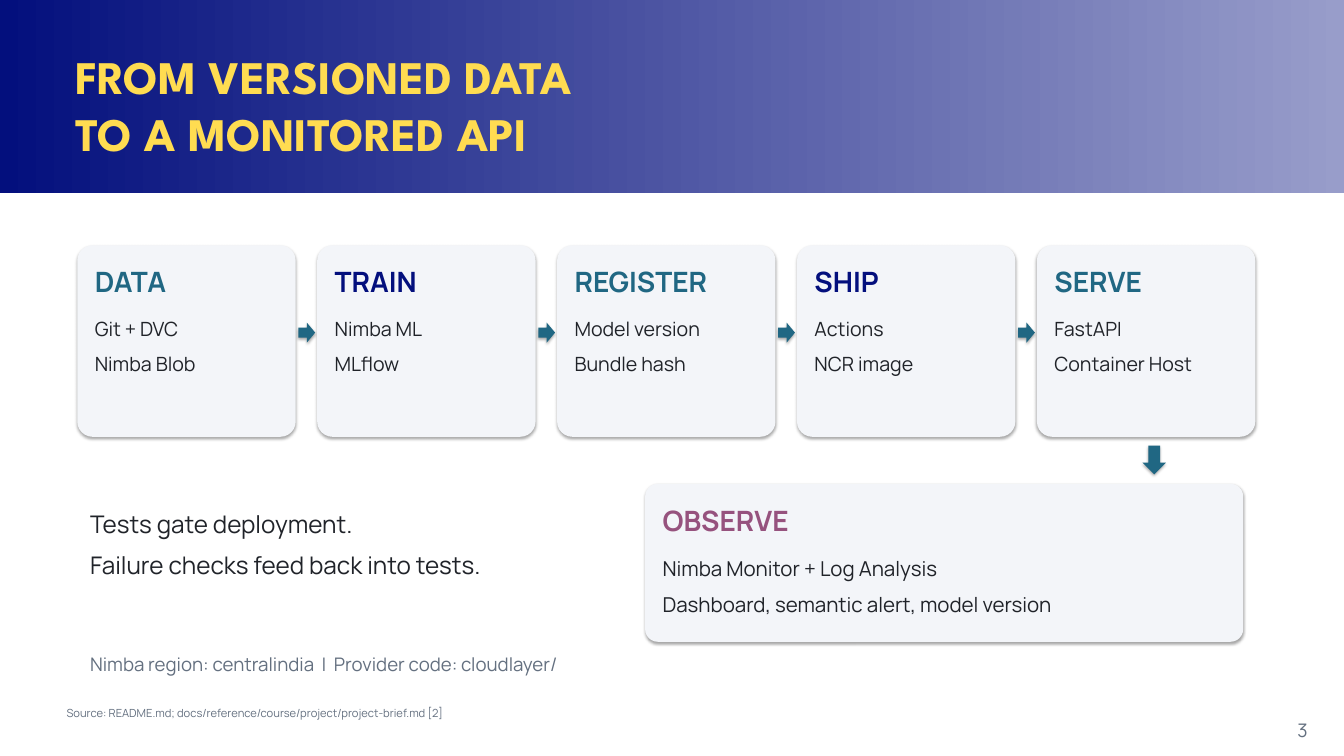
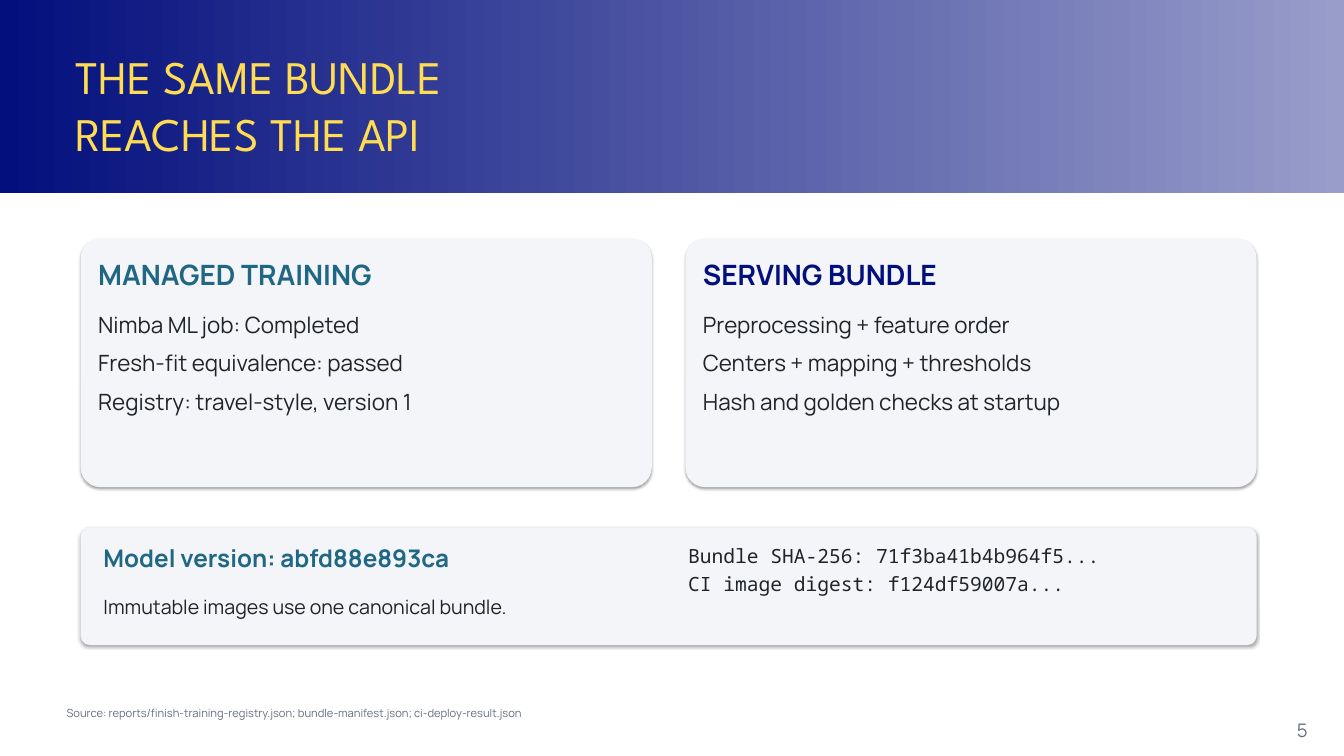
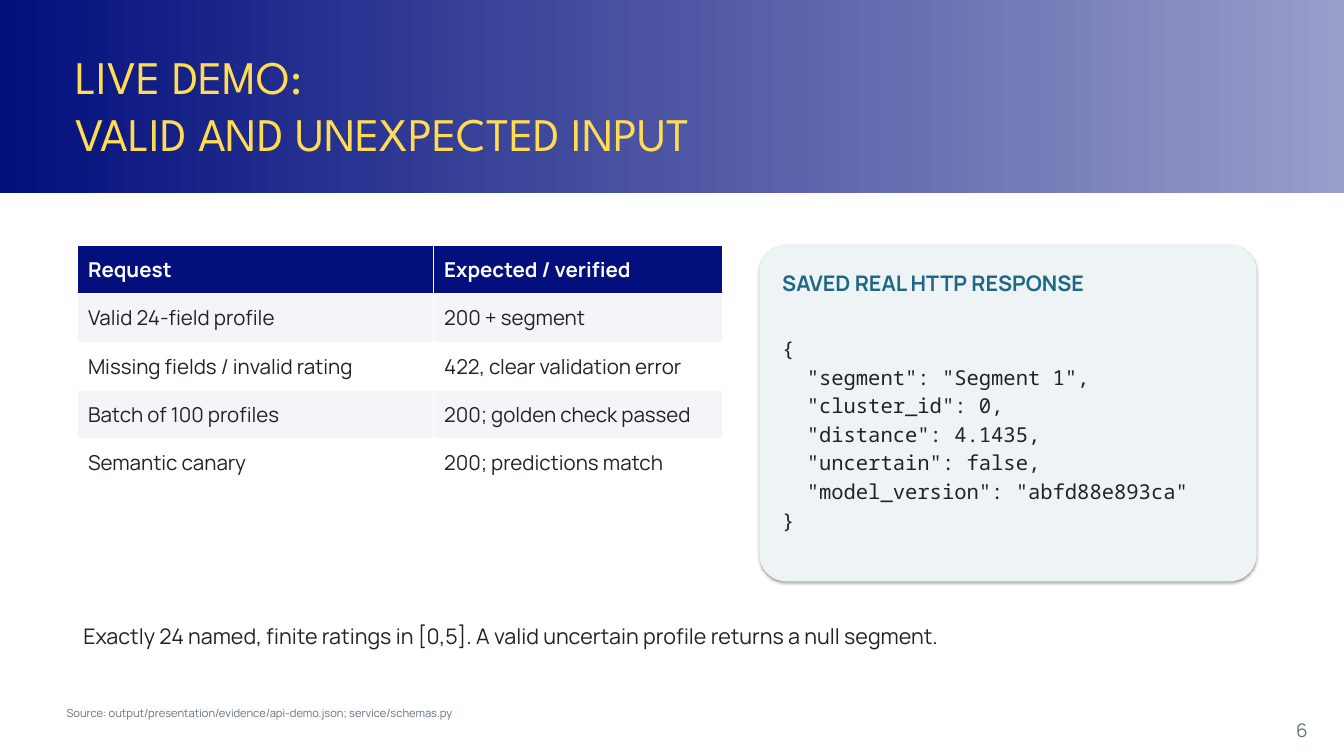
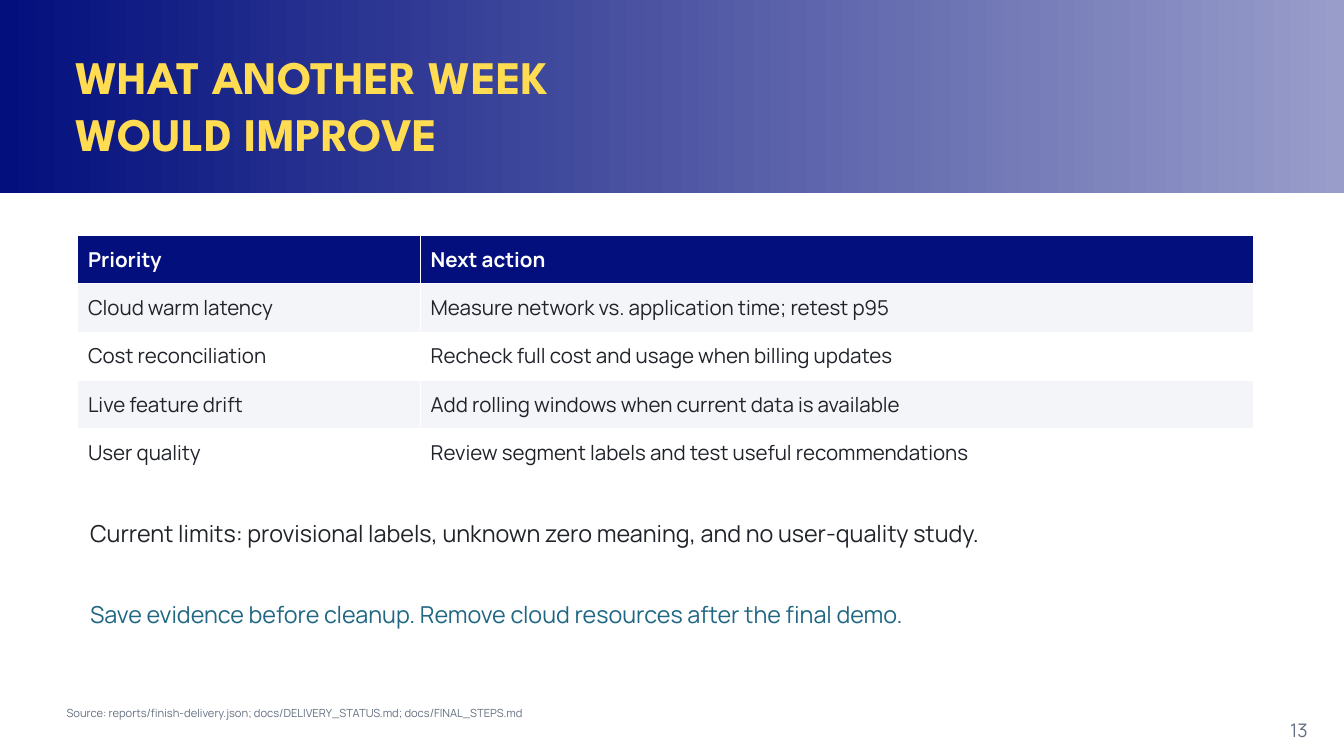
from lxml.etree import SubElement
from pptx import Presentation
from pptx.dml.color import RGBColor
from pptx.enum.shapes import MSO_SHAPE as Shape
from pptx.enum.text import MSO_ANCHOR as Anchor, MSO_AUTO_SIZE as AutoSize, PP_ALIGN as Align
from pptx.oxml.ns import qn
from pptx.util import Inches, Pt

COLORS = {
    "navy": "030F7D",
    "teal": "206783",
    "plum": "96527E",
    "yellow": "FFDC51",
    "ink": "202329",
    "gray": "647080",
    "card": "F3F5F9",
    "response": "EEF3F6",
    "white": "FFFFFF",
}
BODY_FONT, TITLE_FONT, CODE_FONT = "Manrope", "League Spartan", "Noto Sans Mono"
BODY_SPACING = {"line_spacing": 1.12, "space_before": Pt(0), "space_after": Pt(9)}
TITLE_SPACING = {"line_spacing": 1.02, "space_before": Pt(0), "space_after": Pt(0)}
CODE_SPACING = {"line_spacing": 1.05, "space_before": Pt(0), "space_after": Pt(3)}
TEXT_MARGINS = (0.04, 0.03, 0.04, 0.03)
CELL_MARGINS = (0.16, 0.05, 0.12, 0.05)
LAYOUTS = {"list": 1, "two lists": 3, "title": 5}


def rgb(name):
    """Return the named colour."""
    return RGBColor.from_string(COLORS[name])


def apply(target, values):
    """Set each attribute named in values on the target."""
    for name, value in values.items():
        setattr(target, name, value)


def set_margins(target, margins):
    """Set left, top, right and bottom margins in inches."""
    for side, margin in zip(("left", "top", "right", "bottom"), margins):
        setattr(target, f"margin_{side}", Inches(margin))


def add_run(paragraph, text, size, color, bold=False, font=BODY_FONT):
    """Add one formatted run to a paragraph."""
    run = paragraph.add_run()
    run.text = text
    apply(run.font, {"name": font, "size": Pt(size), "bold": bold})
    run.font.color.rgb = rgb(color)


def clear_bullet(paragraph):
    """Remove the bullet and indent a placeholder gives its paragraph."""
    properties = paragraph._p.get_or_add_pPr()
    properties.set("marL", "0")
    properties.set("indent", "0")
    SubElement(properties, qn("a:buNone"))


def write(slide, box, lines, size, color="ink", placeholder=None, spacing=BODY_SPACING,
          margins=TEXT_MARGINS, align=Align.LEFT, **style):
    """Write one paragraph a line in a text box or a placeholder moved to the box."""
    place = [Inches(value) for value in box]
    if placeholder:
        shape = placeholder
        apply(shape, dict(zip(("left", "top", "width", "height"), place)))
        slide.shapes.element.append(shape.element)
    else:
        shape = slide.shapes.add_textbox(*place)
    frame = shape.text_frame
    apply(frame, {"word_wrap": True, "auto_size": AutoSize.SHAPE_TO_FIT_TEXT,
                  "vertical_anchor": Anchor.TOP})
    set_margins(frame, margins)
    for index, line in enumerate(lines):
        paragraph = frame.add_paragraph() if index else frame.paragraphs[0]
        if placeholder:
            clear_bullet(paragraph)
        apply(paragraph, {**spacing, "alignment": align})
        add_run(paragraph, line, size, color, **style)


def add_filled(slide, kind, box, color):
    """Add a preset shape with a plain fill, no line and the theme shadow."""
    shape = slide.shapes.add_shape(kind, *[Inches(value) for value in box])
    shape.fill.solid()
    shape.fill.fore_color.rgb = rgb(color)
    shape.line.fill.background()
    return shape


def add_panel(slide, box, color="card"):
    """Add a rounded panel."""
    add_filled(slide, Shape.ROUNDED_RECTANGLE, box, color).adjustments[0] = 0.08


def add_card(slide, box, heading, lines, size, color, placeholder=None):
    """Add a panel with a heading above its lines."""
    left, top, width, height = box
    add_panel(slide, box)
    inner_left, inner_width = left + 0.22, width - 0.44
    write(slide, (inner_left, top + 0.2, inner_width, 0.7), [heading], 30, color, bold=True)
    write(slide, (inner_left, top + 1, inner_width, height - 1.15), lines, size,
          placeholder=placeholder)


def add_band(slide):
    """Add the title band that fades from navy and bleeds off the right edge."""
    band = slide.shapes.add_shape(
        Shape.RECTANGLE, Inches(0), Inches(-0.3), Inches(33.61), Inches(3.17))
    band.shadow.inherit = False
    band.line.fill.background()
    band.fill.gradient()
    band.fill.gradient_angle = 0
    for stop, color, position in zip(band.fill.gradient_stops, ("navy", "white"), (0, 1)):
        stop.color.rgb = rgb(color)
        stop.position = position


def add_base(presentation, layout, title, bold, number, source):
    """Add a slide with its band, title, page number and source line."""
    slide = presentation.slides.add_slide(presentation.slide_layouts[LAYOUTS[layout]])
    add_band(slide)
    write(slide, (1.12, 0.7, 17.6, 2), title, 50, "yellow", slide.shapes.title,
          TITLE_SPACING, (0, 0, 0, 0), bold=bold, font=TITLE_FONT)
    write(slide, (18.8, 10.62, 0.7, 0.35), [str(number)], 20, "gray", align=Align.RIGHT)
    write(slide, (0.95, 10.45, 17.6, 0.48), [f"Source: {source}"], 12, "gray")
    return slide


def add_grid(slide, left, top, widths, rows, row_height=0.72):
    """Add a table with a navy header and alternating row fills."""
    table = slide.shapes.add_table(
        len(rows), len(widths), Inches(left), Inches(top),
        Inches(sum(widths)), Inches(row_height * len(rows))).table
    for column, width in zip(table.columns, widths):
        column.width = Inches(width)
    for row_index, values in enumerate(rows):
        header = row_index == 0
        fill = "navy" if header else ("white", "card")[row_index % 2]
        table.rows[row_index].height = Inches(row_height)
        for column_index, text in enumerate(values):
            cell = table.cell(row_index, column_index)
            cell.fill.solid()
            cell.fill.fore_color.rgb = rgb(fill)
            cell.vertical_anchor = Anchor.MIDDLE
            set_margins(cell, CELL_MARGINS)
            add_run(cell.text_frame.paragraphs[0], text, 22,
                    "white" if header else "ink", bold=header)


def add_stages(slide, left, top, width, height, step, stages):
    """Add a row of stage cards joined by block arrows."""
    for index, (heading, lines) in enumerate(stages):
        card_left = left + index * step
        if index:
            add_filled(slide, Shape.RIGHT_ARROW,
                       (card_left - 0.28, top + 1.15, 0.25, 0.3), "teal")
        add_card(slide, (card_left, top, width, height), heading, lines, 21,
                 ("teal", "navy")[index % 2])


def build_pipeline(presentation):
    """Build the slide on the way from data to a monitored service."""
    slide = add_base(presentation, "list", ["FROM VERSIONED DATA", "TO A MONITORED API"], True, 3,
                     "README.md; docs/reference/course/project/project-brief.md [2]")
    add_stages(slide, 1.15, 3.65, 3.25, 2.85, 3.57, [
        ("DATA", ["Git + DVC", "Nimba Blob"]),
        ("TRAIN", ["Nimba ML", "MLflow"]),
        ("REGISTER", ["Model version", "Bundle hash"]),
        ("SHIP", ["Actions", "NCR image"]),
        ("SERVE", ["FastAPI", "Container Host"]),
    ])
    add_card(slide, (9.6, 7.2, 8.9, 2.35), "OBSERVE",
             ["Nimba Monitor + Log Analysis", "Dashboard, semantic alert, model version"],
             22, "plum")
    add_filled(slide, Shape.DOWN_ARROW, (17, 6.63, 0.35, 0.43), "teal")
    write(slide, (1.3, 7.5, 7.9, 1.5),
          ["Tests gate deployment.", "Failure checks feed back into tests."], 26,
          placeholder=slide.placeholders[1])
    write(slide, (1.3, 9.65, 16.8, 0.45),
          ["Nimba region: centralindia  |  Provider code: cloudlayer/"], 20, "gray")


def build_bundle(presentation):
    """Build the slide on the bundle shared by training and serving."""
    slide = add_base(presentation, "two lists", ["THE SAME BUNDLE", "REACHES THE API"], False, 5,
                     "reports/finish-training-registry.json; bundle-manifest.json; "
                     "ci-deploy-result.json")
    cards = [
        ("MANAGED TRAINING", "teal", ["Nimba ML job: Completed", "Fresh-fit equivalence: passed",
                                      "Registry: travel-style, version 1"]),
        ("SERVING BUNDLE", "navy", ["Preprocessing + feature order",
                                    "Centers + mapping + thresholds",
                                    "Hash and golden checks at startup"]),
    ]
    for index, (heading, color, lines) in enumerate(cards):
        add_card(slide, (1.2 + 9 * index, 3.55, 8.5, 3.7), heading, lines, 24, color,
                 slide.placeholders[index + 1])
    add_version(slide, 1.2, 7.85, 17.5, 1.75)


def add_version(slide, left, top, width, height):
    """Add the panel with the model version and its hashes."""
    add_panel(slide, (left, top, width, height))
    write(slide, (left + 0.3, top + 0.15, 8, 0.65), ["Model version: abfd88e893ca"], 26, "teal",
          bold=True)
    write(slide, (left + 9, top + 0.2, 8, 1.1),
          ["Bundle SHA-256: 71f3ba41b4b964f5...", "CI image digest: f124df59007a..."], 21,
          spacing=CODE_SPACING, font=CODE_FONT)
    write(slide, (left + 0.3, top + 0.93, 8, 0.65),
          ["Immutable images use one canonical bundle."], 21)


def add_response(slide, left, top, width, height):
    """Add the panel with the saved response."""
    add_panel(slide, (left, top, width, height), "response")
    inner_left, inner_width = left + 0.3, width - 0.6
    write(slide, (inner_left, top + 0.3, inner_width, 0.65), ["SAVED REAL HTTP RESPONSE"], 23,
          "teal", bold=True)
    code = [
        '{',
        '  "segment": "Segment 1",',
        '  "cluster_id": 0,',
        '  "distance": 4.1435,',
        '  "uncertain": false,',
        '  "model_version": "abfd88e893ca"',
        '}',
    ]
    write(slide, (inner_left, top + 1.3, inner_width, height - 1.6), code, 22,
          spacing=CODE_SPACING, font=CODE_FONT)


def build_demo(presentation):
    """Build the live demo slide."""
    slide = add_base(presentation, "title", ["LIVE DEMO:", "VALID AND UNEXPECTED INPUT"], False, 6,
                     "output/presentation/evidence/api-demo.json; service/schemas.py")
    add_grid(slide, 1.15, 3.65, (5.3, 4.3), [
        ("Request", "Expected / verified"),
        ("Valid 24-field profile", "200 + segment"),
        ("Missing fields / invalid rating", "422, clear validation error"),
        ("Batch of 100 profiles", "200; golden check passed"),
        ("Semantic canary", "200; predictions match"),
    ])
    add_response(slide, 11.3, 3.65, 7.4, 5)
    write(slide, (1.2, 9.2, 17.5, 0.9),
          ["Exactly 24 named, finite ratings in [0,5]. "
           "A valid uncertain profile returns a null segment."], 23)


def build_next_week(presentation):
    """Build the slide on further improvements."""
    slide = add_base(presentation, "title", ["WHAT ANOTHER WEEK", "WOULD IMPROVE"], True, 13,
                     "reports/finish-delivery.json; docs/DELIVERY_STATUS.md; docs/FINAL_STEPS.md")
    add_grid(slide, 1.15, 3.5, (5.1, 12.4), [
        ("Priority", "Next action"),
        ("Cloud warm latency", "Measure network vs. application time; retest p95"),
        ("Cost reconciliation", "Recheck full cost and usage when billing updates"),
        ("Live feature drift", "Add rolling windows when current data is available"),
        ("User quality", "Review segment labels and test useful recommendations"),
    ])
    closing = [
        ("Current limits: provisional labels, unknown zero meaning, and no user-quality study.",
         "ink"),
        ("Save evidence before cleanup. Remove cloud resources after the final demo.", "teal"),
    ]
    for index, (text, color) in enumerate(closing):
        write(slide, (1.3, 7.65 + 1.2 * index, 17, 0.95), [text], 25, color)


def main():
    """Build and save the presentation."""
    presentation = Presentation()
    apply(presentation, {"slide_width": Inches(20), "slide_height": Inches(11.25)})
    for build in (build_pipeline, build_bundle, build_demo, build_next_week):
        build(presentation)
    presentation.save("out.pptx")


if __name__ == "__main__":
    main()
